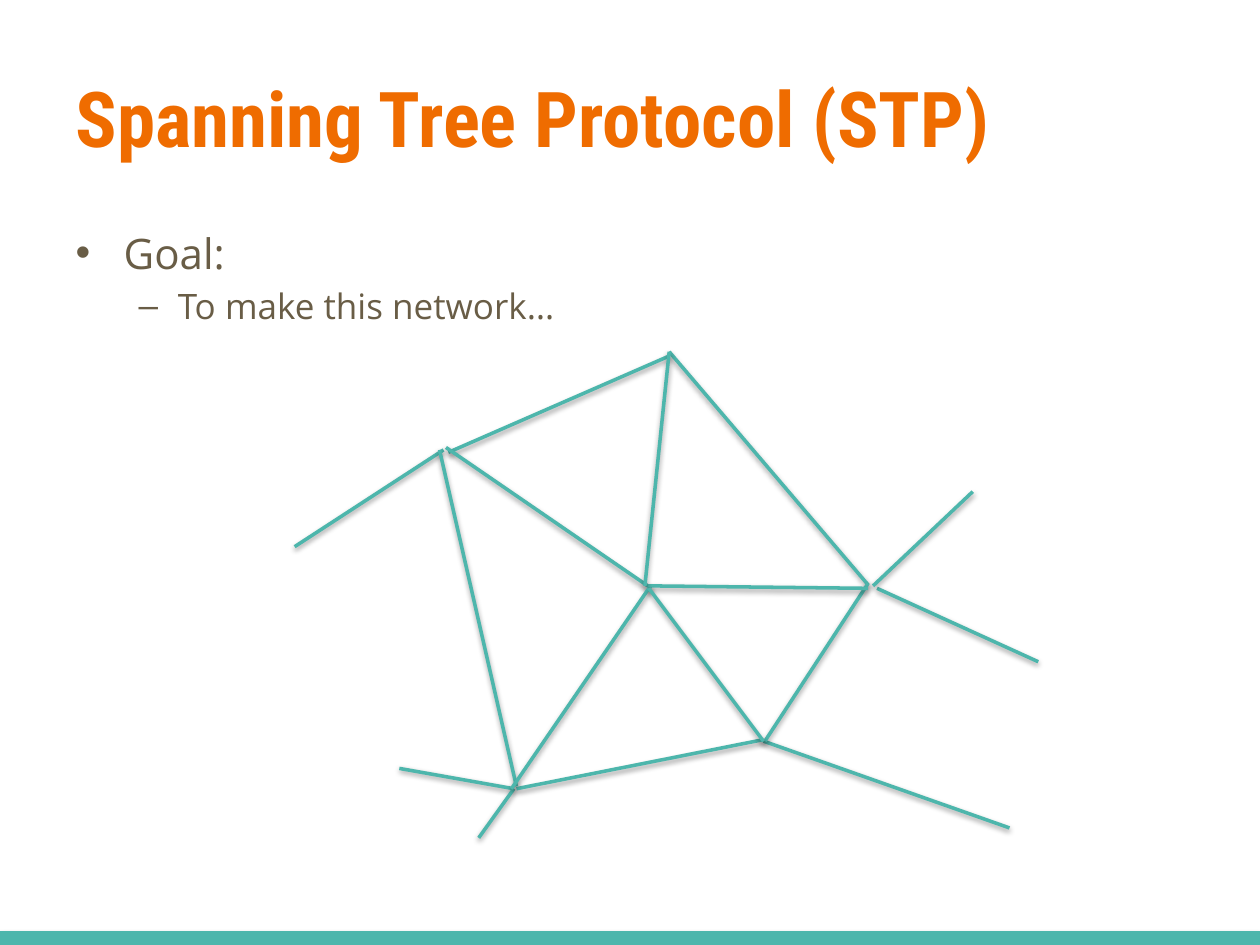
from typing import NamedTuple

from lxml import etree
from pptx import Presentation
from pptx.dml.color import RGBColor
from pptx.enum.shapes import MSO_CONNECTOR
from pptx.enum.text import MSO_ANCHOR, MSO_AUTO_SIZE, PP_ALIGN
from pptx.oxml import parse_xml
from pptx.oxml.ns import nsdecls, qn
from pptx.util import Cm, Pt

STRAIGHT = MSO_CONNECTOR.STRAIGHT
LEFT = PP_ALIGN.LEFT
TOP, MIDDLE = MSO_ANCHOR.TOP, MSO_ANCHOR.MIDDLE
NO_AUTOFIT = MSO_AUTO_SIZE.NONE
TEAL, ORANGE, BROWN = "4DB6AC", "EF6C00", "695D46"


class Link(NamedTuple):
    x1: float
    y1: float
    x2: float
    y2: float
    width: float = 2


class Item(NamedTuple):
    text: str
    level: int
    bullet: str
    margin: float
    hanging: float
    size: float
    before: float


FOOTER_RULE = Link(0, 18.95, 25.4, 18.95, 10)
NETWORK = [
    Link(8.05, 15.49, 10.36, 15.9),
    Link(10.36, 15.9, 9.65, 16.89),
    Link(5.94, 11.02, 8.94, 9.07),
    Link(8.86, 9.07, 10.41, 15.85),
    Link(17.68, 11.86, 20.93, 13.34),
    Link(17.5, 11.79, 13.49, 7.09),
    Link(9.04, 9.12, 13.46, 7.19),
    Link(15.39, 14.94, 20.35, 16.69),
    Link(15.42, 14.94, 17.5, 11.76),
    Link(15.39, 14.91, 10.41, 15.9),
    Link(17.6, 11.81, 19.61, 9.91),
    Link(8.99, 9.02, 13.13, 11.86),
    Link(13.06, 11.81, 17.5, 11.86),
    Link(13, 11.81, 13.49, 7.09),
    Link(13.08, 11.86, 10.31, 15.9),
    Link(13.08, 11.86, 15.39, 14.94),
]
GOALS = [
    Item("Goal:", 0, "•", 0.97, 0.97, 24, 0),
    Item("To make this network…", 1, "–", 2.06, 0.79, 20, 4),
]


def rgb(value: str) -> RGBColor:
    """Turn a hex string into a colour."""
    return RGBColor.from_string(value)


def draw_link(slide, link: Link) -> None:
    """Draw a teal line with a soft shadow below it."""
    connector = slide.shapes.add_connector(
        STRAIGHT, Cm(link.x1), Cm(link.y1), Cm(link.x2), Cm(link.y2))
    connector.line.color.rgb = rgb(TEAL)
    connector.line.width = Pt(link.width)
    connector.element.spPr.append(parse_xml(
        f'<a:effectLst {nsdecls("a")}><a:outerShdw blurRad="40000" dist="20000" '
        'dir="5400000" rotWithShape="0"><a:srgbClr val="000000">'
        '<a:alpha val="38000"/></a:srgbClr></a:outerShdw></a:effectLst>'))


def place(placeholder, top: float, height: float, anchor: MSO_ANCHOR) -> None:
    """Move a placeholder and fix how its text sits."""
    placeholder.left, placeholder.top = Cm(1.27), Cm(top)
    placeholder.width, placeholder.height = Cm(22.86), Cm(height)
    frame = placeholder.text_frame
    frame.word_wrap = True
    frame.auto_size = NO_AUTOFIT
    frame.vertical_anchor = anchor


def style_runs(paragraph, typeface: str, size: float, color: str, bold: bool) -> None:
    """Format every run of a paragraph."""
    for run in paragraph.runs:
        run.font.name = typeface
        run.font.size = Pt(size)
        run.font.bold = bold
        run.font.color.rgb = rgb(color)


def write_item(paragraph, item: Item) -> None:
    """Write one bulleted list item."""
    paragraph.text = item.text
    paragraph.level = item.level
    paragraph.alignment = LEFT
    properties = paragraph._p.get_or_add_pPr()
    properties.set("marL", str(Cm(item.margin)))
    properties.set("indent", str(-Cm(item.hanging)))
    bullet_color = etree.SubElement(properties, qn("a:buClr"))
    etree.SubElement(bullet_color, qn("a:srgbClr"), val=BROWN)
    etree.SubElement(properties, qn("a:buFont"), typeface="Arial")
    etree.SubElement(properties, qn("a:buChar"), char=item.bullet)
    paragraph.space_before = Pt(item.before)
    style_runs(paragraph, "Open Sans", item.size, BROWN, False)


def main() -> None:
    """Build the spanning tree slide."""
    deck = Presentation()
    deck.slide_width, deck.slide_height = Cm(25.4), Cm(19.05)
    slide = deck.slides.add_slide(deck.slide_layouts[1])
    slide.background.fill.solid()
    slide.background.fill.fore_color.rgb = rgb("FFFFFF")

    heading, goals = slide.placeholders
    place(heading, 0.76, 3.18, MIDDLE)
    heading.text_frame.text = "Spanning Tree Protocol (STP)"
    heading_line = heading.text_frame.paragraphs[0]
    heading_line.alignment = LEFT
    style_runs(heading_line, "Roboto Condensed", 44, ORANGE, True)

    place(goals, 4.45, 12.57, TOP)
    goals.text_frame.text = "\n".join(item.text for item in GOALS)
    for paragraph, item in zip(goals.text_frame.paragraphs, GOALS):
        write_item(paragraph, item)

    for link in [FOOTER_RULE, *NETWORK]:
        draw_link(slide, link)
    deck.save("out.pptx")


if __name__ == "__main__":
    main()
